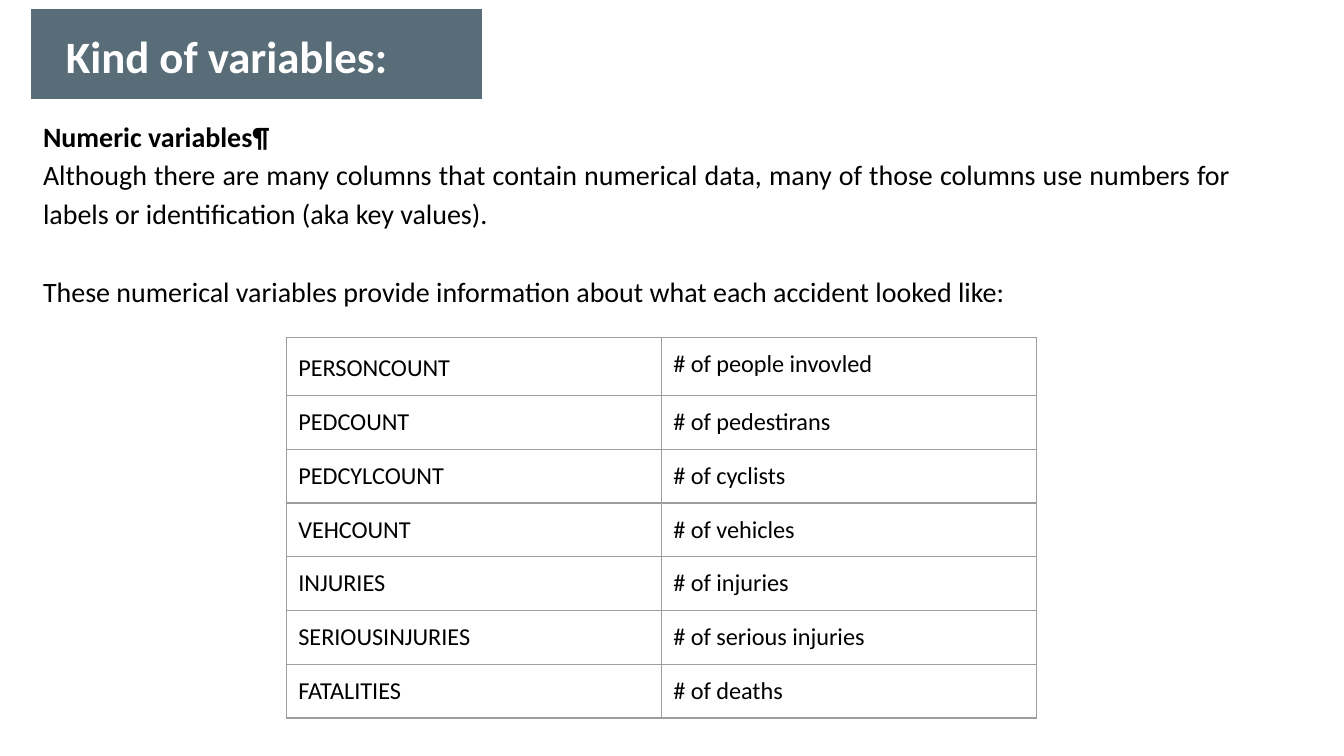
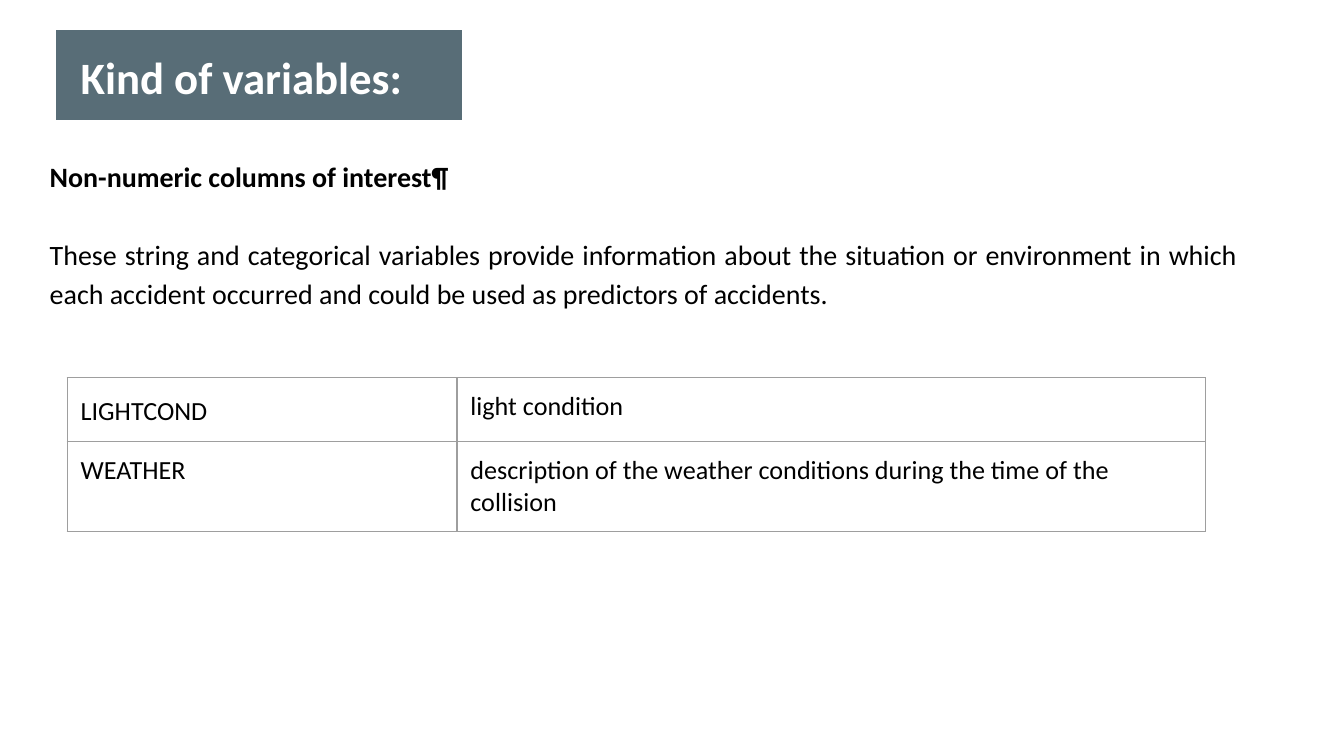
import pptx
import pptx.dml.color
import pptx.enum.shapes
import pptx.enum.text
import pptx.oxml
import pptx.oxml.ns
import pptx.util
from pptx.util import Inches, Pt

COLORS = {"band": "586D77", "white": "FFFFFF", "text": "000000", "grid": "9E9E9E"}
FONT = "Calibri"
TITLE = "Kind of variables:"
LINE_SPACING = 1.15
BLANK_LINE = 21  # points, one line of body text
TITLE_AND_CONTENT = 1

# Boxes are left, top, width, height in inches; paragraphs are text, bold, space before.
SLIDES = [
    {
        "band": (0.22, 0.05, 3.38, 0.7),
        "title": (0.39, 0.05, 3.38, 0.7),
        "body": (0.22, 0.75, 9.04, 1.61),
        "paragraphs": [
            ("Numeric variables¶", True, 0),
            ("Although there are many columns that contain numerical data, many of those "
             "columns use numbers for labels or identification (aka key values).", False, 0),
            ("These numerical variables provide information about what each accident "
             "looked like:", False, BLANK_LINE),
        ],
        "table": {
            "corner": (2.13, 2.51),
            "columns": [2.79, 2.79],
            "heights": [0.43] + [0.4] * 6,
            "size": 13,
            "inset": 0.09,
            "rows": [
                ("PERSONCOUNT", "# of people invovled"),
                ("PEDCOUNT", "# of pedestirans"),
                ("PEDCYLCOUNT", "# of cyclists"),
                ("VEHCOUNT", "# of vehicles"),
                ("INJURIES", "# of injuries"),
                ("SERIOUSINJURIES", "# of serious injuries"),
                ("FATALITIES", "# of deaths"),
            ],
        },
    },
    {
        "band": (0.4, 0.21, 3.05, 0.7),
        "title": (0.5, 0.21, 2.85, 0.7),
        "body": (0.27, 1.05, 9.04, 1.4),
        "paragraphs": [
            ("Non-numeric columns of interest¶", True, 0),
            ("These string and categorical variables provide information about the situation "
             "or environment in which each accident occurred and could be used as predictors "
             "of accidents.", False, BLANK_LINE),
        ],
        "table": {
            "corner": (0.5, 2.81),
            "columns": [2.9, 5.57],
            "heights": [0.47, 0.67],
            "size": 14,
            "inset": 0.1,
            "rows": [
                ("LIGHTCOND", "light condition"),
                ("WEATHER", "description of the weather conditions during the time of the "
                            "collision"),
            ],
        },
    },
]


def rgb(name):
    return pptx.dml.color.RGBColor.from_string(COLORS[name])


def write(paragraph, text, size, color="text", bold=False, justify=True, before=0):
    paragraph.space_before = Pt(before)
    paragraph.space_after = Pt(0)
    paragraph.line_spacing = LINE_SPACING if justify else 1.0
    alignment = pptx.enum.text.PP_ALIGN
    paragraph.alignment = alignment.JUSTIFY if justify else alignment.LEFT
    run = paragraph.add_run()
    run.text = text
    run.font.name = FONT
    run.font.size = Pt(size)
    run.font.bold = bold
    run.font.color.rgb = rgb(color)


def set_insets(frame, inset):
    """Works for text frames and table cells alike."""
    frame.margin_left = frame.margin_right = Inches(inset)
    frame.margin_top = frame.margin_bottom = Inches(inset)
    frame.vertical_anchor = pptx.enum.text.MSO_ANCHOR.TOP


def place(placeholder, box):
    left, top, width, height = map(Inches, box)
    placeholder.left, placeholder.top = left, top
    placeholder.width, placeholder.height = width, height
    frame = placeholder.text_frame
    frame.word_wrap = True
    frame.auto_size = pptx.enum.text.MSO_AUTO_SIZE.NONE
    set_insets(frame, 0.1)
    return frame


def remove_bullet(paragraph):
    properties = paragraph._p.get_or_add_pPr()
    properties.set("marL", "0")
    properties.set("indent", "0")
    properties.append(pptx.oxml.parse_xml(f"<a:buNone {pptx.oxml.ns.nsdecls('a')}/>"))


def add_band(slide, box):
    """Adds the title's coloured band behind everything else."""
    band = slide.shapes.add_shape(
        pptx.enum.shapes.MSO_SHAPE.RECTANGLE, *map(Inches, box))
    band.shadow.inherit = False
    band.fill.solid()
    band.fill.fore_color.rgb = rgb("band")
    band.line.color.rgb = rgb("white")
    band.line.width = Pt(2)
    slide.shapes._spTree.insert(2, band._element)


def add_borders(cell):
    properties = cell._tc.get_or_add_tcPr()
    for side in ("lnL", "lnR", "lnT", "lnB"):
        properties.append(pptx.oxml.parse_xml(
            f'<a:{side} {pptx.oxml.ns.nsdecls("a")} w="{Pt(0.75)}"><a:solidFill>'
            f'<a:srgbClr val="{COLORS["grid"]}"/></a:solidFill></a:{side}>'))


def add_variable_table(slide, content):
    rows, columns, heights = content["rows"], content["columns"], content["heights"]
    box = (*content["corner"], sum(columns), sum(heights))
    table = slide.shapes.add_table(len(rows), len(columns), *map(Inches, box)).table
    table.first_row = table.horz_banding = False
    for column, width in zip(table.columns, columns):
        column.width = Inches(width)
    for row, height in zip(table.rows, heights):
        row.height = Inches(height)
    for row_index, values in enumerate(rows):
        for column_index, text in enumerate(values):
            cell = table.cell(row_index, column_index)
            set_insets(cell, content["inset"])
            add_borders(cell)
            cell.fill.background()
            write(cell.text_frame.paragraphs[0], text, content["size"],
                  justify=row_index == column_index == 0)


def build_slide(presentation, content):
    layout = presentation.slide_layouts[TITLE_AND_CONTENT]
    slide = presentation.slides.add_slide(layout)
    title = place(slide.shapes.title, content["title"])
    write(title.paragraphs[0], TITLE, 24, color="white", bold=True)
    body = place(slide.placeholders[1], content["body"])
    for index, (text, bold, before) in enumerate(content["paragraphs"]):
        paragraph = body.add_paragraph() if index else body.paragraphs[0]
        write(paragraph, text, 15, bold=bold, before=before)
        remove_bullet(paragraph)
    add_band(slide, content["band"])
    add_variable_table(slide, content["table"])


def main():
    presentation = pptx.Presentation()
    presentation.slide_width = Inches(10)
    presentation.slide_height = presentation.slide_width * 9 // 16
    for content in SLIDES:
        build_slide(presentation, content)
    presentation.save("out.pptx")


if __name__ == "__main__":
    main()
